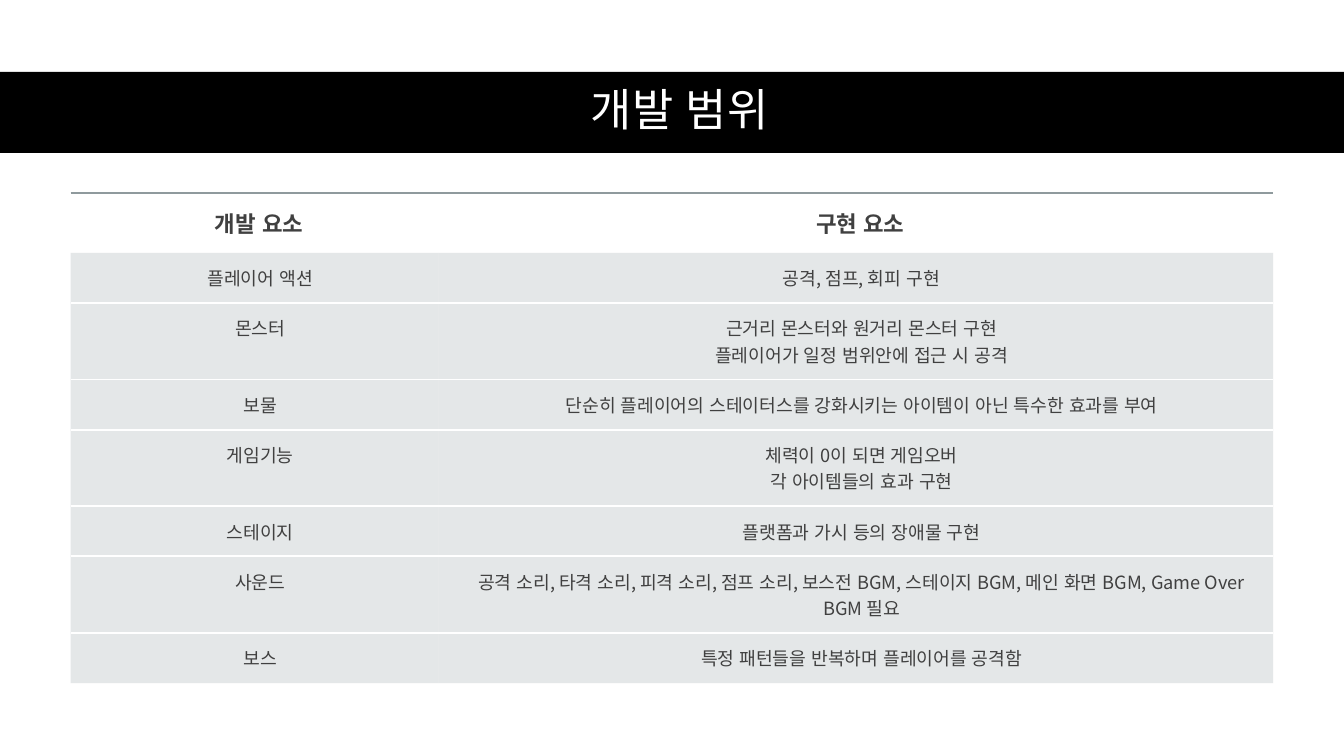
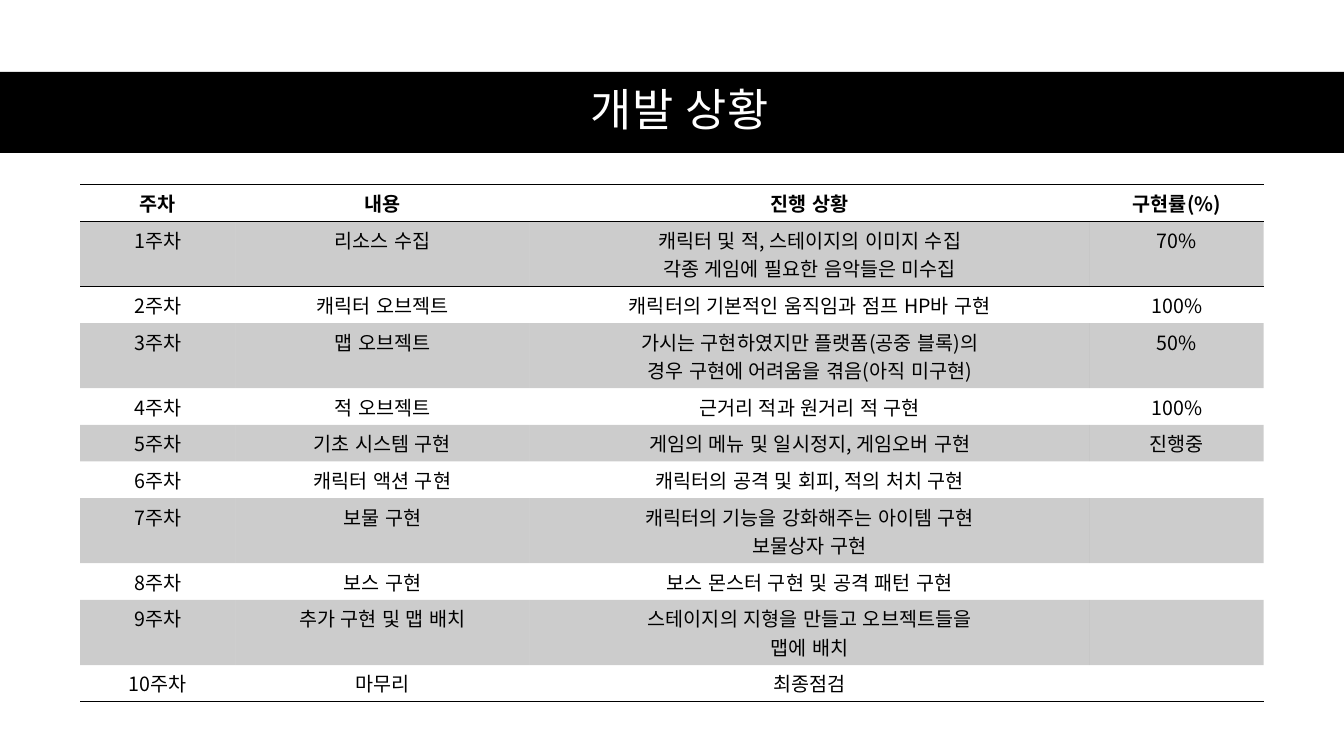
"""Build two slides on the scope and the progress of a game project."""
from lxml import etree
from pptx import Presentation
from pptx.dml.color import RGBColor
from pptx.enum.lang import MSO_LANGUAGE_ID
from pptx.enum.shapes import MSO_SHAPE
from pptx.enum.text import MSO_ANCHOR, PP_ALIGN
from pptx.oxml.ns import qn
from pptx.util import Pt

RECT = MSO_SHAPE.RECTANGLE
MIDDLE = MSO_ANCHOR.MIDDLE
CENTER = PP_ALIGN.CENTER
KOREAN = MSO_LANGUAGE_ID.KOREAN

FONT = "Noto Sans CJK KR"
BLACK = RGBColor(0x00, 0x00, 0x00)
WHITE = RGBColor(0xFF, 0xFF, 0xFF)
DARK = RGBColor(0x40, 0x40, 0x40)
SLATE = RGBColor(0x8F, 0x9A, 0x9D)
MIST = RGBColor(0xB4, 0xBC, 0xBE)
NO_STYLE = "{2D5ABB26-0587-4C30-8999-92F81FD0307C}"

SCOPE = [
    ("개발 요소", "구현 요소"),
    ("플레이어 액션", "공격, 점프, 회피 구현"),
    ("몬스터", "근거리 몬스터와 원거리 몬스터 구현\n플레이어가 일정 범위안에 접근 시 공격"),
    ("보물", "단순히 플레이어의 스테이터스를 강화시키는 아이템이 아닌 특수한 효과를 부여"),
    ("게임기능", "체력이 0이 되면 게임오버\n각 아이템들의 효과 구현"),
    ("스테이지", "플랫폼과 가시 등의 장애물 구현"),
    ("사운드", "공격 소리, 타격 소리, 피격 소리, 점프 소리, 보스전 BGM, "
     "스테이지 BGM, 메인 화면 BGM, Game Over BGM 필요"),
    ("보스", "특정 패턴들을 반복하며 플레이어를 공격함"),
]
STATUS = [
    ("주차", "내용", "진행 상황", "구현률(%)"),
    ("1주차", "리소스 수집",
     "캐릭터 및 적, 스테이지의 이미지 수집\n각종 게임에 필요한 음악들은 미수집", "70%"),
    ("2주차", "캐릭터 오브젝트", "캐릭터의 기본적인 움직임과 점프 HP바 구현", "100%"),
    ("3주차", "맵 오브젝트",
     "가시는 구현하였지만 플랫폼(공중 블록)의\n경우 구현에 어려움을 겪음(아직 미구현)", "50%"),
    ("4주차", "적 오브젝트", "근거리 적과 원거리 적 구현", "100%"),
    ("5주차", "기초 시스템 구현", "게임의 메뉴 및 일시정지, 게임오버 구현", "진행중"),
    ("6주차", "캐릭터 액션 구현", "캐릭터의 공격 및 회피, 적의 처치 구현", ""),
    ("7주차", "보물 구현", "캐릭터의 기능을 강화해주는 아이템 구현\n보물상자 구현", ""),
    ("8주차", "보스 구현", "보스 몬스터 구현 및 공격 패턴 구현", ""),
    ("9주차", "추가 구현 및 맵 배치", "스테이지의 지형을 만들고 오브젝트들을\n맵에 배치", ""),
    ("10주차", "마무리", "최종점검", ""),
]

SLIDES = [
    {"title": "개발 범위", "rows": SCOPE, "at": (50.4, 138),
     "cols": (262.8, 596.2), "lines": (1, 1, 2, 1, 2, 1, 2, 1),
     "color": DARK, "sizes": (16, 13), "pads": (9.7, 8.5),
     "left": 16.5, "right": (10, 8.5),
     "fill": (MIST, 35), "step": 1, "head": (SLATE, 1.5, 60),
     "under": None, "inner": (WHITE, 1.5, 100), "last": None},
    {"title": "개발 상황", "rows": STATUS, "at": (57.2, 131.6),
     "cols": (110.9, 210.2, 400.3, 124), "lines": (1, 2, 1, 2, 1, 1, 1, 2, 1, 2, 1),
     "color": BLACK, "sizes": (14, 14), "pads": (3.1, 2.95),
     "left": 5.4, "right": (5.4, 5.4),
     "fill": (BLACK, 20), "step": 2, "head": (BLACK, 1, 100),
     "under": (BLACK, 1, 100), "inner": None, "last": (BLACK, 1, 100)},
]


def put(item, **values):
    for name, value in values.items():
        setattr(item, name, value)


def style(font, size, color, bold=False):
    put(font, name=FONT, size=Pt(size), bold=bold, language_id=KOREAN)
    font.color.rgb = color


def write(frame, text, size, color, bold=False):
    frame.text = text
    for para in frame.paragraphs:
        para.alignment = CENTER
        for run in para.runs:
            style(run.font, size, color, bold)
            props = run._r.get_or_add_rPr()
            etree.SubElement(props, qn("a:ea"), typeface=FONT)
        if not para.runs:
            etree.SubElement(para._p, qn("a:endParaRPr"), sz=str(size * 100))


def fade(color, alpha):
    if alpha < 100:
        etree.SubElement(color, qn("a:alpha"), val=str(alpha * 1000))


def edge(cell, side, line):
    if line is None:
        return
    color, width, alpha = line
    props = cell._tc.get_or_add_tcPr()
    node = etree.SubElement(props, qn(f"a:ln{side}"), w=str(Pt(width)))
    solid = etree.SubElement(node, qn("a:solidFill"))
    fade(etree.SubElement(solid, qn("a:srgbClr"), val=str(color)), alpha)


def shade(cell, tint):
    if tint is None:
        cell.fill.background()
        return
    color, alpha = tint
    cell.fill.solid()
    cell.fill.fore_color.rgb = color
    solid = cell._tc.tcPr.find(qn("a:solidFill"))
    fade(solid.find(qn("a:srgbClr")), alpha)


def add_title(slide, text):
    band = slide.shapes.add_shape(RECT, 0, Pt(51.3), Pt(960), Pt(58))
    band.shadow.inherit = False
    band.fill.solid()
    band.fill.fore_color.rgb = BLACK
    band.line.fill.background()
    box = slide.shapes.add_textbox(Pt(44), Pt(51), Pt(883), Pt(58))
    put(box.text_frame, word_wrap=True, vertical_anchor=MIDDLE)
    write(box.text_frame, text, 32, WHITE)
    box.text_frame.paragraphs[0].line_spacing = 0.9


def add_grid(slide, plan):
    rows, cols = plan["rows"], plan["cols"]
    tall = [round(count * plan["sizes"][row > 0] * 1.45 + 2 * plan["pads"][row > 0], 2)
            for row, count in enumerate(plan["lines"])]
    left, top = plan["at"]
    frame = slide.shapes.add_table(len(rows), len(cols), Pt(left), Pt(top),
                                   Pt(sum(cols)), Pt(sum(tall)))
    table = frame.table
    put(table, first_row=False, horz_banding=False)
    table._tbl.tblPr.find(qn("a:tableStyleId")).text = NO_STYLE
    for col, width in zip(table.columns, cols):
        col.width = Pt(width)
    edges = [plan["head"], plan["under"]]
    edges += [plan["inner"]] * (len(rows) - 2) + [plan["last"]]
    for row, texts in enumerate(rows):
        table.rows[row].height = Pt(tall[row])
        body = row > 0
        pad = Pt(plan["pads"][body])
        tint = plan["fill"] if body and (row - 1) % plan["step"] == 0 else None
        for col, text in enumerate(texts):
            cell = table.cell(row, col)
            put(cell, margin_left=Pt(plan["left"]),
                margin_right=Pt(plan["right"][body]),
                margin_top=pad, margin_bottom=pad)
            write(cell.text_frame, text, plan["sizes"][body], plan["color"], not body)
            edge(cell, "T", edges[row])
            edge(cell, "B", edges[row + 1])
            shade(cell, tint)


def main():
    deck = Presentation()
    put(deck, slide_width=Pt(960), slide_height=Pt(540))
    for plan in SLIDES:
        slide = deck.slides.add_slide(deck.slide_layouts[6])
        add_title(slide, plan["title"])
        add_grid(slide, plan)
    deck.save("out.pptx")


if __name__ == "__main__":
    main()
